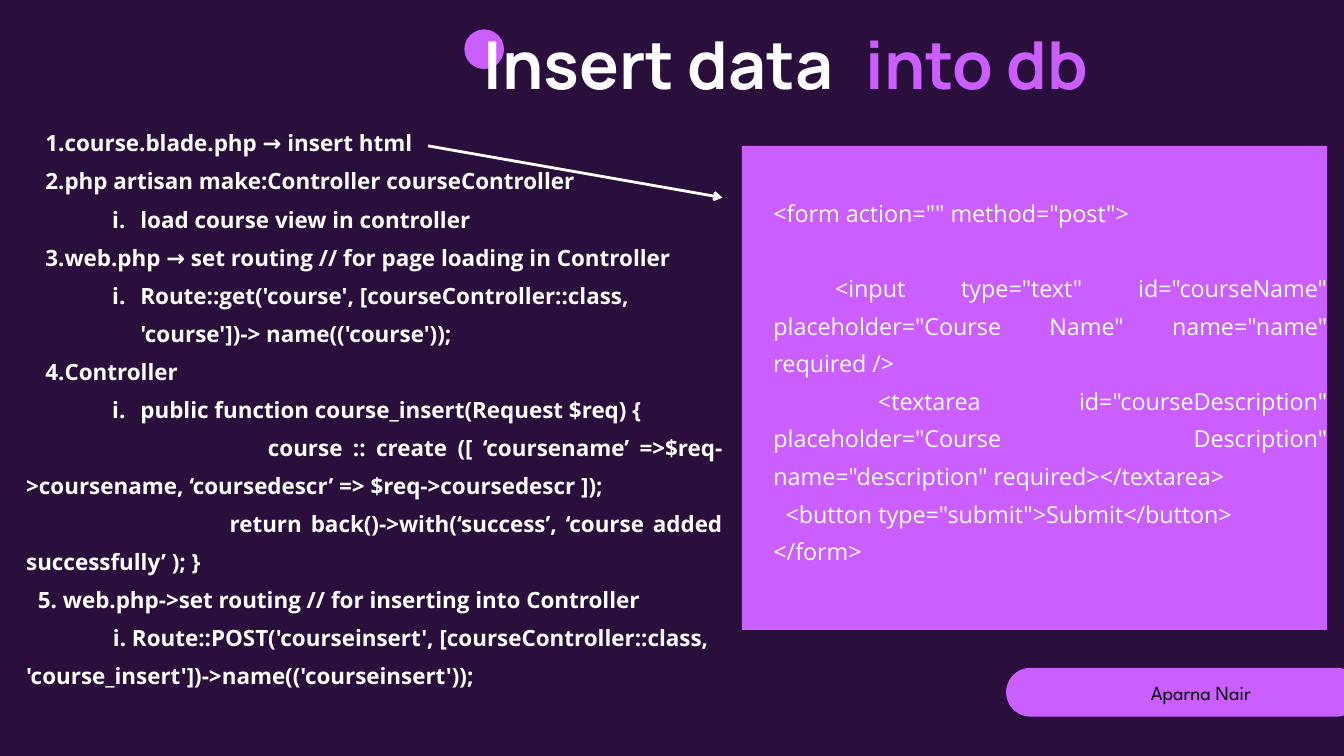
from lxml import etree
from pptx import Presentation
from pptx import util as u
from pptx.dml.color import RGBColor
from pptx.enum import shapes, text
from pptx.oxml import ns

NIGHT = RGBColor(0x2A, 0x0E, 0x3C)
VIOLET = RGBColor(0xCB, 0x5E, 0xFF)
WHITE = RGBColor(0xFF, 0xFF, 0xFF)
BLACK = RGBColor(0, 0, 0)

JUSTIFY = text.PP_ALIGN.JUSTIFY
CENTER = text.PP_ALIGN.CENTER

TITLE = {"name": "Manrope", "size": u.Pt(70.9), "bold": True}
STEP = {"name": "Open Sans", "size": u.Pt(24), "bold": True}
CODE = {"name": "Open Sans", "size": u.Pt(25), "bold": False}
AUTHOR = {"name": "League Spartan", "size": u.Pt(21.3), "bold": False}

MAIN = {"level": 1, "margin": 41, "indent": -20.4, "number": "arabicPeriod"}
SUB = {"level": 3, "margin": 122.4, "indent": -30.2, "number": "romanLcPeriod"}

STEPS = [
    ("course.blade.php → insert html", MAIN),
    ("php artisan make:Controller courseController", MAIN),
    ("load course view in controller", SUB),
    ("web.php → set routing // for page loading in Controller", MAIN),
    ("Route::get('course', [courseController::class, 'course'])-> name(('course'));", SUB),
    ("Controller", MAIN),
    ("public function course_insert(Request $req) {", SUB),
    ("course :: create ([ ‘coursename’ =>$req->coursename, ‘coursedescr’ => $req->coursedescr ]);",
     {"align": JUSTIFY, "indent": 259}),
    ("return back()->with(‘success’, ‘course added successfully’ ); }",
     {"align": JUSTIFY, "indent": 218}),
    ("5. web.php->set routing // for inserting into Controller", {"indent": 12.6}),
    ("i. Route::POST('courseinsert', [courseController::class, 'course_insert'])"
     "->name(('courseinsert'));", {"indent": 93}),
]

FORM = [
    ('<form action="" method="post">', {"align": JUSTIFY}),
    ('<input type="text" id="courseName" placeholder="Course Name" name="name" required />',
     {"align": JUSTIFY, "indent": 66, "before": 40.3}),
    ('<textarea id="courseDescription" placeholder="Course Description" '
     'name="description" required></textarea>', {"align": JUSTIFY, "indent": 112}),
    ('<button type="submit">Submit</button>', {"align": JUSTIFY, "indent": 13}),
    ("</form>", {"align": JUSTIFY}),
]


def points(*values):
    return [u.Pt(value) for value in values]


def apply(target, values):
    for name, value in values.items():
        setattr(target, name, value)


def add_block(page, kind, frame):
    block = page.shapes.add_shape(kind, *points(*frame))
    block.shadow.inherit = False
    block.fill.solid()
    block.fill.fore_color.rgb = VIOLET
    block.line.fill.background()
    return block


def format_para(para, spacing, layout):
    apply(para, {
        "level": layout.get("level", 0),
        "alignment": layout.get("align", text.PP_ALIGN.LEFT),
        "line_spacing": u.Pt(spacing),
        "space_before": u.Pt(layout.get("before", 0)),
    })
    properties = para._p.get_or_add_pPr()
    properties.set("marL", str(u.Pt(layout.get("margin", 0))))
    properties.set("indent", str(u.Pt(layout.get("indent", 0))))
    if "number" in layout:
        bullet = etree.SubElement(properties, ns.qn("a:buAutoNum"))
        bullet.set("type", layout["number"])
    else:
        etree.SubElement(properties, ns.qn("a:buNone"))


def add_text(page, frame, lines, font, color, spacing):
    box = page.shapes.add_textbox(*points(*frame))
    body = box.text_frame
    apply(body, {
        "word_wrap": True,
        "auto_size": text.MSO_AUTO_SIZE.SHAPE_TO_FIT_TEXT,
        "margin_left": 0, "margin_right": 0, "margin_top": 0, "margin_bottom": 0,
    })
    for index, (line, layout) in enumerate(lines):
        para = body.add_paragraph() if index else body.paragraphs[0]
        format_para(para, spacing, layout)
        span = para.add_run()
        span.text = line
        apply(span.font, font)
        span.font.color.rgb = color


def add_arrow(page, ends):
    arrow = page.shapes.add_connector(shapes.MSO_CONNECTOR.STRAIGHT, *points(*ends))
    arrow.line.width = u.Pt(3)
    arrow.line.color.rgb = WHITE
    head = etree.SubElement(arrow.line._get_or_add_ln(), ns.qn("a:tailEnd"))
    head.set("type", "arrow")
    etree.SubElement(arrow._element.spPr, ns.qn("a:effectLst"))


def main():
    deck = Presentation()
    apply(deck, {"slide_width": u.Pt(1440), "slide_height": u.Pt(810)})
    page = deck.slides.add_slide(deck.slide_layouts[6])
    page.background.fill.solid()
    page.background.fill.fore_color.rgb = NIGHT

    add_block(page, shapes.MSO_SHAPE.OVAL, (497.5, 31.5, 42.5, 42.5))
    pill = add_block(page, shapes.MSO_SHAPE.ROUNDED_RECTANGLE, (1078, 715.5, 380, 52.3))
    pill.adjustments[0] = 0.5

    add_text(page, (28, 126.7, 746, 644.4), STEPS, STEP, WHITE, 40.8)
    add_text(page, (518.4, 29.5, 660, 87), [("Insert data", {})], TITLE, WHITE, 80.1)
    add_text(page, (927.4, 29.5, 553.7, 87), [("into db", {})], TITLE, VIOLET, 80.1)
    add_text(page, (1133.3, 725, 306.7, 29), [("Aparna Nair", {"align": CENTER})],
             AUTHOR, BLACK, 29.8)

    add_block(page, shapes.MSO_SHAPE.RECTANGLE, (794.9, 156.3, 627.1, 518.7))
    add_text(page, (828.7, 203, 593.3, 395.3), FORM, CODE, WHITE, 40.3)
    add_arrow(page, (458.6, 156.3, 774, 211.7))

    deck.save("out.pptx")


if __name__ == "__main__":
    main()
